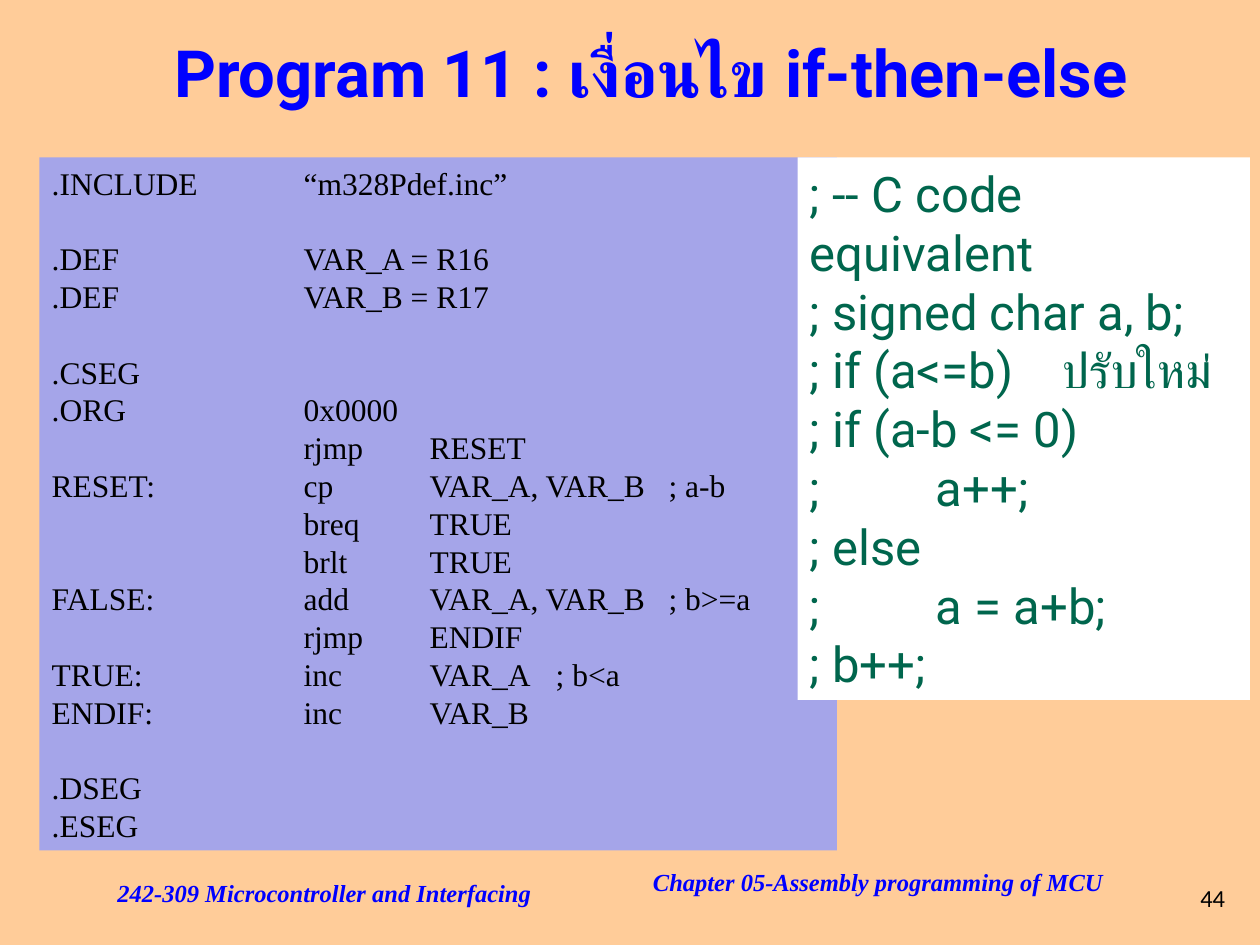
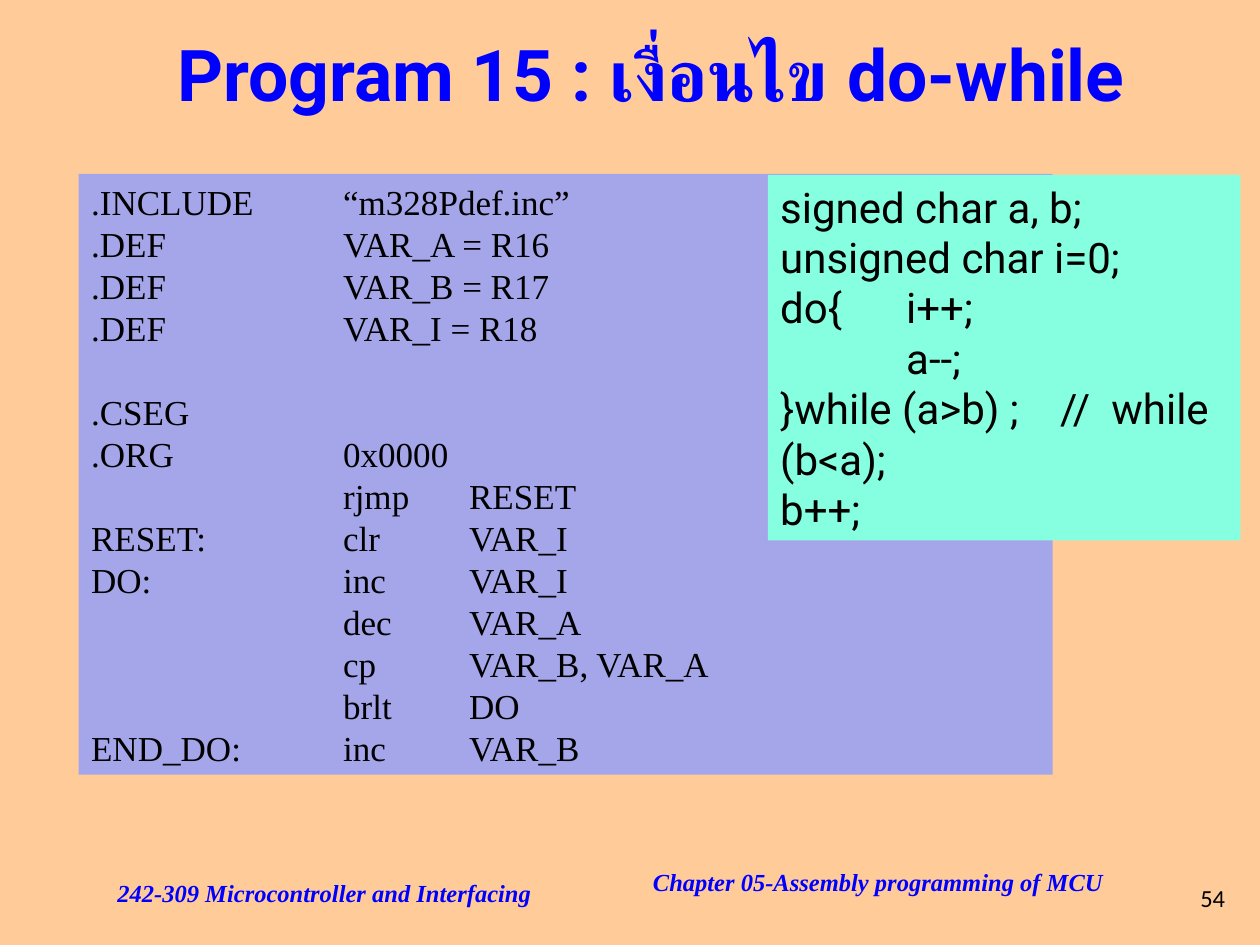
"""Build two slides of assembly programs beside their C code."""
from dataclasses import dataclass

from lxml import etree
from pptx import Presentation
from pptx.dml.color import RGBColor
from pptx.enum.shapes import MSO_SHAPE as SHAPE
from pptx.enum.text import MSO_ANCHOR as ANCHOR, MSO_AUTO_SIZE as AUTO, PP_ALIGN as ALIGN
from pptx.oxml.ns import qn
from pptx.slide import Slide
from pptx.util import Pt

PEACH = RGBColor(0xFF, 0xCC, 0x99)
LAVENDER = RGBColor(0xA5, 0xA5, 0xE9)
MINT = RGBColor(0x85, 0xFF, 0xE0)
WHITE = RGBColor(0xFF, 0xFF, 0xFF)
BLACK = RGBColor(0x00, 0x00, 0x00)
BLUE = RGBColor(0x00, 0x00, 0xFF)
GREEN = RGBColor(0x00, 0x66, 0x4D)

SERIF = "Times New Roman"
SANS = "Roboto"
NUMBER_FONT = "Calibri"
LINE_RATIO = 1.2

Box = tuple[float, float, float, float]


@dataclass(frozen=True)
class Style:
    """Look of a run of text."""
    font: str
    size: float
    color: RGBColor
    bold: bool = False
    italic: bool = False


@dataclass(frozen=True)
class Panel:
    """Filled rectangle of code, where an empty line becomes a gap."""
    box: Box
    fill: RGBColor
    style: Style
    tabs: tuple[float, ...]
    code: str


@dataclass(frozen=True)
class Label:
    """Line of text at the foot of a slide."""
    box: Box
    text: str
    style: Style


@dataclass(frozen=True)
class Program:
    """Content of one slide."""
    title: str
    title_size: float
    title_spacing: float
    number: str
    panels: tuple[Panel, ...]


FOOTER_STYLE = Style(SERIF, 14, BLUE, bold=True, italic=True)
FOOTERS = (
    Label((366, 492, 480, 48), "Chapter 05-Assembly programming of MCU", FOOTER_STYLE),
    Label((60, 498, 271.5, 36), "242-309 Microcontroller and Interfacing", FOOTER_STYLE),
)
NUMBER_BOX = (672, 492, 42, 42)
TITLE_BOX = (66, 0, 612, 90)

IF_ASSEMBLY = """.INCLUDE\t“m328Pdef.inc”

.DEF\t\tVAR_A = R16
.DEF\t\tVAR_B = R17

.CSEG
.ORG\t\t0x0000
\t\trjmp\tRESET
RESET:\t\tcp\tVAR_A, VAR_B\t; a-b
\t\tbreq\tTRUE
\t\tbrlt\tTRUE
FALSE:\t\tadd\tVAR_A, VAR_B\t; b>=a
\t\trjmp\tENDIF
TRUE:\t\tinc\tVAR_A\t; b<a
ENDIF:\t\tinc\tVAR_B

.DSEG
.ESEG"""

IF_C = """; -- C code equivalent
; signed char a, b;
; if (a<=b)\tปรับใหม่
; if (a-b <= 0)
;\ta++;
; else
;\ta = a+b;
; b++;"""

DO_ASSEMBLY = """.INCLUDE\t“m328Pdef.inc”
.DEF\t\tVAR_A = R16
.DEF\t\tVAR_B = R17
.DEF\t\tVAR_I = R18

.CSEG
.ORG\t\t0x0000
\t\trjmp\tRESET
RESET:\t\tclr\tVAR_I
DO:\t\tinc\tVAR_I
\t\tdec\tVAR_A
\t\tcp\tVAR_B, VAR_A
\t\tbrlt\tDO
END_DO:\tinc\tVAR_B"""

DO_C = """signed char a, b;
unsigned char i=0;
do{\ti++;
\ta--;
}while (a>b) ;\t//\twhile (b<a);
b++;"""

PROGRAMS = (
    Program("Program 11 : เงื่อนไข if-then-else", 37.2, 0.8, "44", (
        Panel((22.5, 90, 455.75, 396), LAVENDER, Style(SERIF, 18, BLACK),
              (72, 144, 216, 288, 352.5), IF_ASSEMBLY),
        Panel((455.75, 90, 258.5, 310), WHITE, Style(SANS, 28, GREEN),
              (72, 144), IF_C),
    )),
    Program("Program 15 : เงื่อนไข do-while", 40.8, 0.9, "54", (
        Panel((45, 99.4, 556.5, 343.2), LAVENDER, Style(SERIF, 20, BLACK),
              (72, 144, 216), DO_ASSEMBLY),
        Panel((438.75, 100, 270, 208.8), MINT, Style(SANS, 24, BLACK),
              (72, 160, 189.25), DO_C),
    )),
)


def add_run(p, text: str, style: Style) -> None:
    """Add one styled run to a paragraph."""
    r = p.add_run()
    r.text = text
    f = r.font
    f.name, f.size, f.bold, f.italic = style.font, Pt(style.size), style.bold, style.italic
    f.color.rgb = style.color


def set_tabs(p, stops: tuple[float, ...]) -> None:
    """Give a paragraph left tab stops."""
    tabs = etree.SubElement(p._p.get_or_add_pPr(), qn("a:tabLst"))
    for stop in stops:
        etree.SubElement(tabs, qn("a:tab"), pos=str(Pt(stop)), algn="l")


def add_panel(s: Slide, panel: Panel) -> None:
    """Draw a code panel line by line."""
    sp = s.shapes.add_shape(SHAPE.RECTANGLE, *map(Pt, panel.box))
    sp.shadow.inherit = False
    sp.fill.solid()
    sp.fill.fore_color.rgb = panel.fill
    sp.line.fill.background()
    tf = sp.text_frame
    tf.word_wrap = True
    tf.vertical_anchor = ANCHOR.TOP
    pitch = Pt(panel.style.size * LINE_RATIO)
    p = tf.paragraphs[0]
    for block_no, block in enumerate(panel.code.split("\n\n")):
        for line_no, line in enumerate(block.split("\n")):
            if block_no or line_no:
                p = tf.add_paragraph()
            set_tabs(p, panel.tabs)
            p.alignment = ALIGN.LEFT
            p.line_spacing = pitch
            if block_no and not line_no:
                p.space_before = pitch
            add_run(p, line, panel.style)


def add_label(s: Slide, label: Label):
    """Draw a foot label and return its text frame."""
    tf = s.shapes.add_textbox(*map(Pt, label.box)).text_frame
    tf.word_wrap = True
    add_run(tf.paragraphs[0], label.text, label.style)
    return tf


def set_title(s: Slide, program: Program) -> None:
    """Place and fill the title placeholder."""
    sp = s.shapes.title
    sp.left, sp.top, sp.width, sp.height = map(Pt, TITLE_BOX)
    tf = sp.text_frame
    tf.auto_size = AUTO.NONE
    tf.vertical_anchor = ANCHOR.MIDDLE
    p = tf.paragraphs[0]
    p.alignment = ALIGN.CENTER
    p.line_spacing = program.title_spacing
    add_run(p, program.title, Style(SANS, program.title_size, BLUE, bold=True))


def add_program(prs, program: Program) -> None:
    """Add the slide of one program."""
    s = prs.slides.add_slide(prs.slide_layouts.get_by_name("Title Only"))
    set_title(s, program)
    for panel in program.panels:
        add_panel(s, panel)
    for footer in FOOTERS:
        add_label(s, footer)
    tf = add_label(s, Label(NUMBER_BOX, program.number, Style(NUMBER_FONT, 14, BLACK)))
    tf.word_wrap = False
    tf.vertical_anchor = ANCHOR.MIDDLE
    tf.paragraphs[0].alignment = ALIGN.CENTER


def main() -> None:
    """Build and save the presentation."""
    prs = Presentation()
    prs.slide_width, prs.slide_height = Pt(720), Pt(540)
    fill = prs.slide_master.background.fill
    fill.solid()
    fill.fore_color.rgb = PEACH
    for program in PROGRAMS:
        add_program(prs, program)
    prs.save("out.pptx")


if __name__ == "__main__":
    main()
